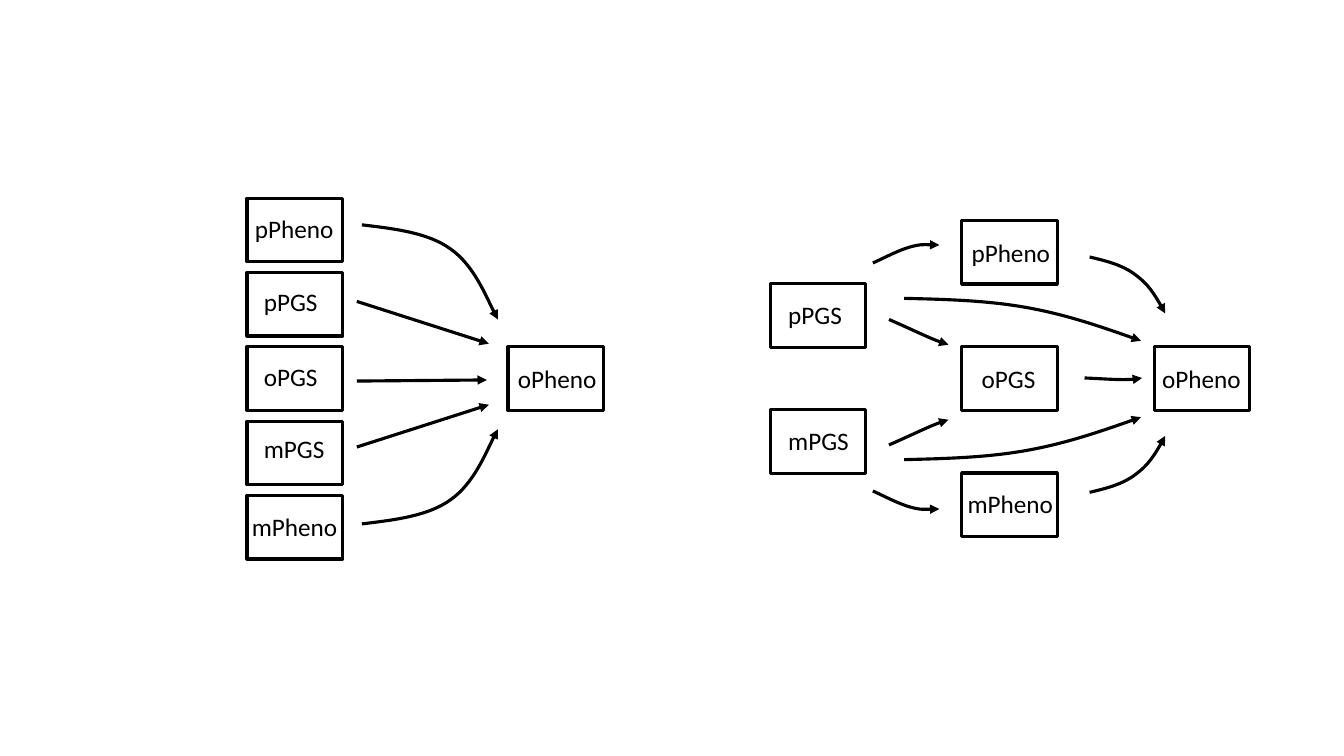
from pptx import Presentation
from pptx.dml.color import RGBColor
from pptx.enum.shapes import MSO_CONNECTOR, MSO_SHAPE
from pptx.enum.text import MSO_AUTO_SIZE
from pptx.oxml.ns import qn
from pptx.oxml.xmlchemy import OxmlElement
from pptx.util import Pt

BLACK = RGBColor(0, 0, 0)
LINE = Pt(2.25)
FONT = {"name": "Calibri", "size": Pt(18)}
FRAME = {"word_wrap": True, "auto_size": MSO_AUTO_SIZE.SHAPE_TO_FIT_TEXT}
WIDE, HIGH = 68.4, 45.4
MID = 247.7  # top of the middle row

deck = Presentation()
deck.slide_width, deck.slide_height = Pt(960), Pt(540)
slide = deck.slides.add_slide(deck.slide_layouts[6])
shapes = slide.shapes

# Each model: row step, then label, box left, row from the middle, text shift
MODELS = [
    (53.1, [
        ("pPheno", 176.4, -2, -1.4, 7.5),
        ("pPGS", 176.4, -1, 5, 6.3),
        ("oPGS", 176.4, 0, 5, 6.5),
        ("mPGS", 176.4, 1, 5, 5.2),
        ("mPheno", 176.4, 2, -3.6, 7.5),
        ("oPheno", 362.9, 0, 0, 7.9),
    ]),
    (45.1, [
        ("pPGS", 550.1, -1, 5.8, 7.7),
        ("mPGS", 550.1, 1, 5.8, 7.3),
        ("pPheno", 686.9, -2, 0, 8.2),
        ("oPGS", 686.9, 0, 7.2, 7.9),
        ("mPheno", 686.9, 2, -2.9, 7.6),
        ("oPheno", 824.4, 0, -1.4, 7.9),
    ]),
]

for step, nodes in MODELS:
    for label, left, row, dx, dy in nodes:
        top = MID + row * step
        box = shapes.add_shape(MSO_SHAPE.RECTANGLE, Pt(left), Pt(top), Pt(WIDE), Pt(HIGH))
        box.shadow.inherit = False
        box.fill.background()
        box.line.color.rgb = BLACK
        box.line.width = LINE

        width = 78.5 if label == "mPheno" else 71.3
        text = shapes.add_textbox(Pt(left + dx), Pt(top + dy), Pt(width), Pt(29.1))
        for key, value in FRAME.items():
            setattr(text.text_frame, key, value)
        run = text.text_frame.paragraphs[0].add_run()
        run.text = label
        for key, value in FONT.items():
            setattr(run.font, key, value)
        run.font.color.rgb = BLACK


def add_curve(points):
    """Draw a start point followed by Bezier triples."""
    pen = shapes.build_freeform(*points[0], scale=1.0)
    pen.add_line_segments(points[1:], close=False)
    curve = pen.convert_to_shape()
    curve.fill.background()
    lines = list(curve._element.spPr.iter(qn("a:lnTo")))
    for i in range(0, len(lines), 3):
        bend = OxmlElement("a:cubicBezTo")
        lines[i].addprevious(bend)
        for line in lines[i:i + 3]:
            bend.append(line[0])
            line.getparent().remove(line)
    return curve


def add_arrow(points):
    """Join two points with a straight arrow, or more with a curved one."""
    points = [(Pt(x), Pt(y)) for x, y in points]
    if len(points) == 2:
        arrow = shapes.add_connector(MSO_CONNECTOR.STRAIGHT, *points[0], *points[1])
    else:
        arrow = add_curve(points)
    arrow.line.color.rgb = BLACK
    arrow.line.width = LINE
    props = arrow._element.spPr
    tip = OxmlElement("a:tailEnd")
    tip.set("type", "triangle")
    props.find(qn("a:ln")).append(tip)
    props.append(OxmlElement("a:effectLst"))


# Upper arrows; each is mirrored downwards about half of its sum
PAIRS = [
    (534.8, [(258.5, 160.6), (282.2, 163.4), (306, 166.3), (321.8, 177.8),
             (338.4, 189.4), (350.6, 219.6), (355.7, 228.2)]),
    (534.6, [(254.9, 215.3), (349.2, 245.5)]),
    (546, [(635, 228.2), (651.6, 235.4), (667.4, 243.4), (677.5, 246.2)]),
    (541.4, [(645.8, 213.1), (675.4, 213.8), (704.9, 214.6), (733, 219.6),
             (761, 224.6), (788.4, 234), (815, 243.4)]),
    (538.6, [(623.5, 187.9), (632.9, 183.6), (642.2, 178.6), (650.2, 176.4),
             (658.1, 174.2), (666.7, 175), (671, 175)]),
    (535.3, [(778.3, 183.6), (790.6, 186.5), (802.1, 189.4), (811.4, 196.6),
             (820.1, 203), (826.6, 213.1), (832.3, 223.9)]),
]
MIDDLE = [
    [(254.9, 272.2), (347.8, 271.4)],
    [(774.7, 270), (790.6, 270.7), (806.4, 272.2), (815.8, 270)],
]

for total, points in PAIRS:
    add_arrow(points)
    add_arrow([(x, total - y) for x, y in points])
for points in MIDDLE:
    add_arrow(points)

deck.save("out.pptx")
